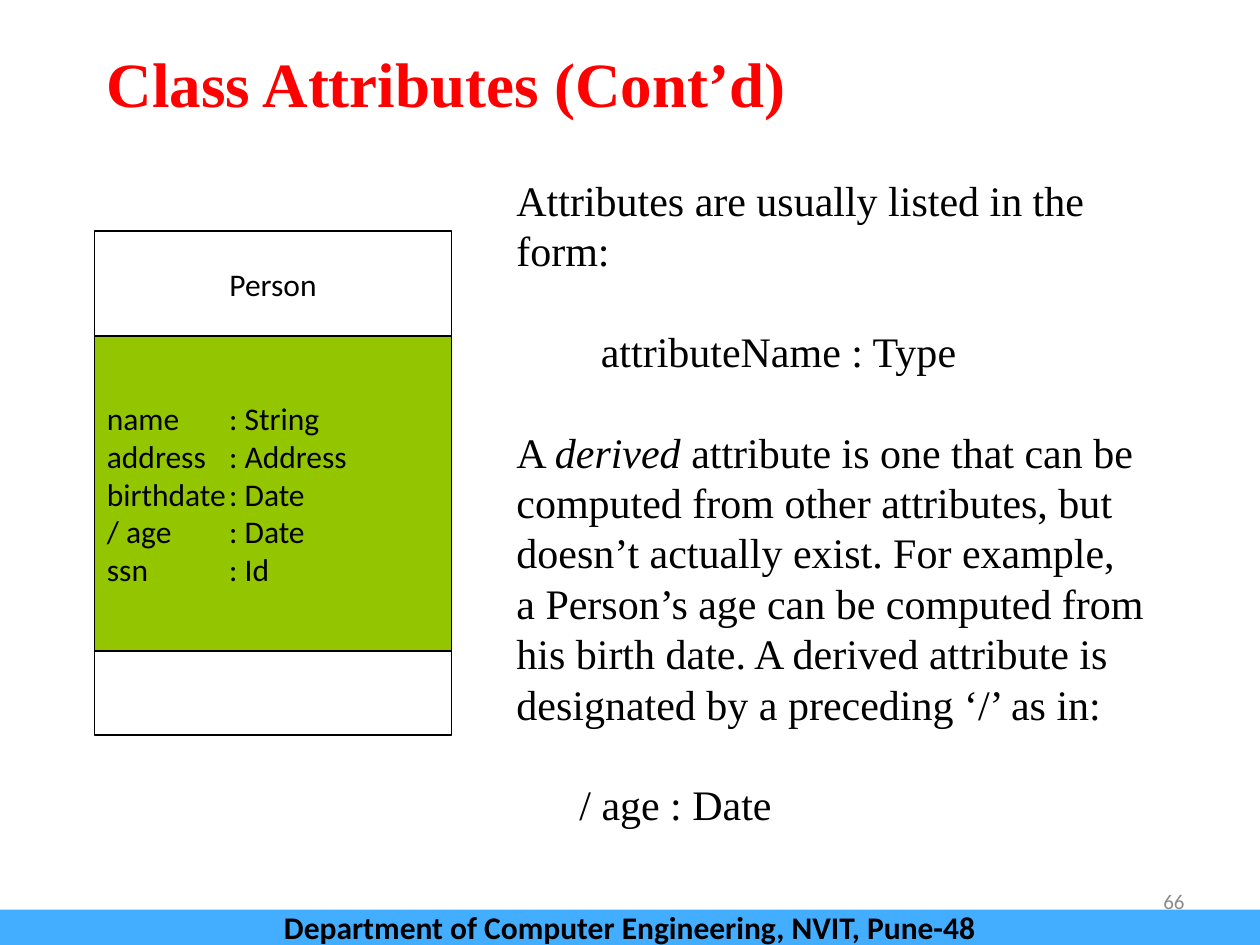
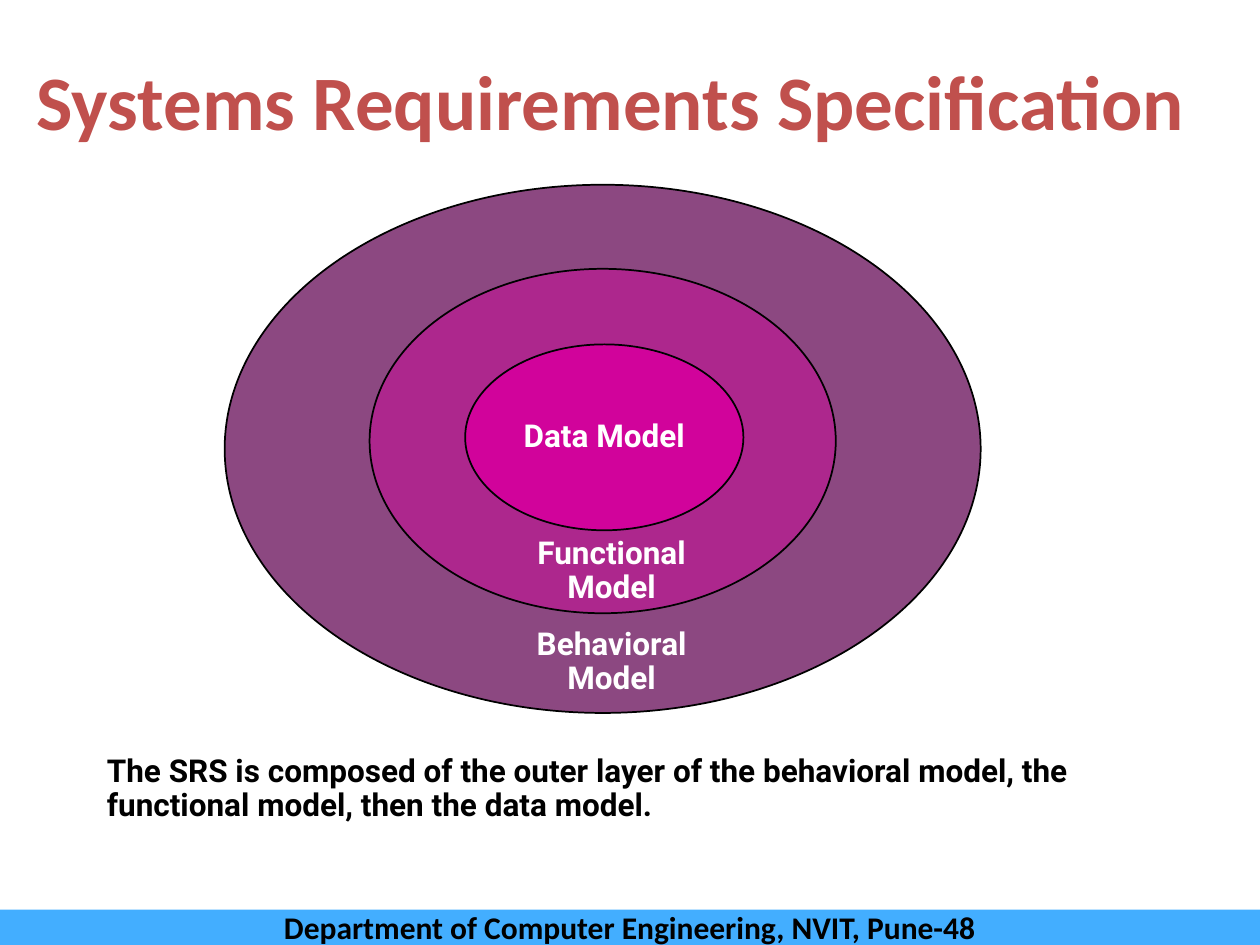
from dataclasses import dataclass

from lxml import etree
from pptx import Presentation
from pptx.dml.color import RGBColor
from pptx.enum.shapes import MSO_SHAPE as Shape
from pptx.enum.text import MSO_ANCHOR as Anchor, PP_ALIGN as Align
from pptx.oxml.ns import qn
from pptx.util import Inches, Pt

BLACK = RGBColor(0x00, 0x00, 0x00)
WHITE = RGBColor(0xFF, 0xFF, 0xFF)
RED = RGBColor(0xFF, 0x00, 0x00)
BRICK = RGBColor(0xC0, 0x50, 0x4D)
GREY = RGBColor(0x8C, 0x8C, 0x8C)
GREEN = RGBColor(0x94, 0xC6, 0x00)
SKY = RGBColor(0x43, 0xAE, 0xFF)
PLUM = RGBColor(0x8C, 0x48, 0x81)
MAGENTA = RGBColor(0xAD, 0x27, 0x8D)
PINK = RGBColor(0xD1, 0x03, 0x9B)

SERIF, SANS, LABEL = "Times New Roman", "Calibri", "Roboto"
COLUMNS, ROWS = 120, 90
CELL = Inches(10) // COLUMNS
BODY_PITCH = Pt(28.8)


@dataclass
class Box:
    left: float
    top: float
    width: float
    height: float

    def inner(self, left, top, width, height):
        return Box(self.left + left, self.top + top, width, height)

    def emu(self):
        return [round(v * CELL) for v in (self.left, self.top, self.width, self.height)]


@dataclass
class Style:
    font: str
    size: float
    color: RGBColor = BLACK
    bold: bool = False
    align: Align = Align.LEFT
    spacing: float = 1.0


BODY = Style(SERIF, 24, spacing=BODY_PITCH)
MEMBER = Style(SANS, 18)
CLASS_NAME = Style(SANS, 18, align=Align.CENTER)
FOOTER = Style(SANS, 18, bold=True, align=Align.CENTER)
NUMBER = Style(SANS, 12, GREY, align=Align.RIGHT)
RING_LABEL = Style(LABEL, 18, WHITE, True, Align.CENTER, 0.9)
CAPTION = Style(LABEL, 18, bold=True, spacing=0.9)


def write(holder, lines, style, anchor=Anchor.TOP):
    frame = holder.text_frame
    frame.word_wrap = True
    frame.vertical_anchor = anchor
    for index, line in enumerate(lines):
        paragraph = frame.add_paragraph() if index else frame.paragraphs[0]
        paragraph.text = line
        paragraph.alignment = style.align
        paragraph.line_spacing = style.spacing
        font = paragraph.font
        font.name, font.size, font.bold = style.font, Pt(style.size), style.bold
        font.color.rgb = style.color
    return frame


def add_text(slide, box, lines, style, anchor=Anchor.TOP):
    return write(slide.shapes.add_textbox(*box.emu()), lines, style, anchor)


def add_filled(slide, kind, box, fill, line_width=None):
    shape = slide.shapes.add_shape(kind, *box.emu())
    shape.shadow.inherit = False
    shape.fill.solid()
    shape.fill.fore_color.rgb = fill
    if line_width is None:
        shape.line.fill.background()
    else:
        shape.line.color.rgb = BLACK
        shape.line.width = Pt(line_width)
    return shape


def add_footer(slide):
    band = add_filled(slide, Shape.RECTANGLE, Box(0, 86.64, COLUMNS, 3.36), SKY)
    write(band, ["Department of Computer Engineering, NVIT, Pune-48"], FOOTER, Anchor.MIDDLE)


def add_title(slide, box, title, style, anchor):
    return add_text(slide, box, [title], style, anchor)


def set_tab_stop(paragraph, position):
    properties = paragraph._p.get_or_add_pPr()
    stops = etree.SubElement(properties, qn("a:tabLst"))
    etree.SubElement(stops, qn("a:tab"), pos=str(position), algn="l")
    defaults = properties.find(qn("a:defRPr"))
    if defaults is not None:
        defaults.addprevious(stops)


def add_class_diagram(slide, box, name, members):
    compartments = [
        (10, WHITE, [name], CLASS_NAME),
        (30, GREEN, [f"{member}\t: {kind}" for member, kind in members], MEMBER),
        (8, WHITE, [], MEMBER),
    ]
    top = 0
    for height, fill, lines, style in compartments:
        part = add_filled(slide, Shape.RECTANGLE, box.inner(0, top, box.width, height), fill, 0.75)
        frame = write(part, lines, style, Anchor.MIDDLE)
        if style is MEMBER:
            for paragraph in frame.paragraphs:
                set_tab_stop(paragraph, Inches(0.97))
        top += height


def add_explanation(slide, box):
    form = "attributeName : Type"
    example = "/ age : Date"
    derived = "A derived attribute is one that can be"
    lines = [
        "Attributes are usually listed in the form:",
        form,
        derived,
        "computed from other attributes, but",
        "doesn’t actually exist. For example,",
        "a Person’s age can be computed from",
        "his birth date. A derived attribute is",
        "designated by a preceding ‘/’ as in:",
        example,
    ]
    indents = {form: 0.67, example: 0.5}
    for paragraph in add_text(slide, box, lines, BODY).paragraphs:
        line = paragraph.text
        if line in (form, derived, example):
            paragraph.space_before = BODY_PITCH
        if line in indents:
            paragraph._p.get_or_add_pPr().set("marL", str(Inches(indents[line])))
        if line == derived:
            before, word, after = line.partition("derived")
            paragraph.runs[0].text = before
            emphasis = paragraph.add_run()
            emphasis.text, emphasis.font.italic = word, True
            paragraph.add_run().text = after


def add_model_rings(slide, box):
    rings = [
        (box, PLUM),
        (box.inner(13.8, 8, 44.4, 32.8), MAGENTA),
        (box.inner(22.9, 15.2, 26.5, 17.7), PINK),
    ]
    for place, fill in rings:
        core = add_filled(slide, Shape.OVAL, place, fill, 1)
    write(core, ["Data Model"], RING_LABEL, Anchor.MIDDLE)
    for top, layer in ((41.6, "Behavioral"), (33, "Functional")):
        add_text(slide, box.inner(28, top, 17.7, 7.7), [layer, "Model"], RING_LABEL)


def build_class_attributes(slide):
    add_title(slide, Box(9, 5, 103, 7), "Class Attributes (Cont’d)",
              Style(SERIF, 36, RED, True), Anchor.BOTTOM)
    members = [
        ("name", "String"),
        ("address", "Address"),
        ("birthdate", "Date"),
        ("/ age", "Date"),
        ("ssn", "Id"),
    ]
    add_class_diagram(slide, Box(9, 22, 34, 48), "Person", members)
    add_explanation(slide, Box(48, 16, 64.7, 58.8))
    add_text(slide, Box(86, 83.4, 28, 4.8), ["66"], NUMBER, Anchor.MIDDLE)
    add_footer(slide)


def build_requirements(slide):
    title = add_title(slide, Box(0.8, 4.7, 114.8, 9.5), "Systems Requirements Specification",
                      Style(SANS, 44, BRICK, True, Align.CENTER), Anchor.TOP)
    title.margin_left = title.margin_right = Inches(0.07)
    title.margin_top = title.margin_bottom = Inches(0.03)
    add_model_rings(slide, Box(21.4, 17.6, 72, 50.3))
    add_text(slide, Box(9, 71.3, 101.9, 7.7),
             ["The SRS is composed of the outer layer of the behavioral model, "
              "the functional model, then the data model."], CAPTION)
    add_footer(slide)


def main():
    deck = Presentation()
    deck.slide_width, deck.slide_height = COLUMNS * CELL, ROWS * CELL
    for build in (build_class_attributes, build_requirements):
        build(deck.slides.add_slide(deck.slide_layouts[6]))
    deck.save("out.pptx")


if __name__ == "__main__":
    main()
